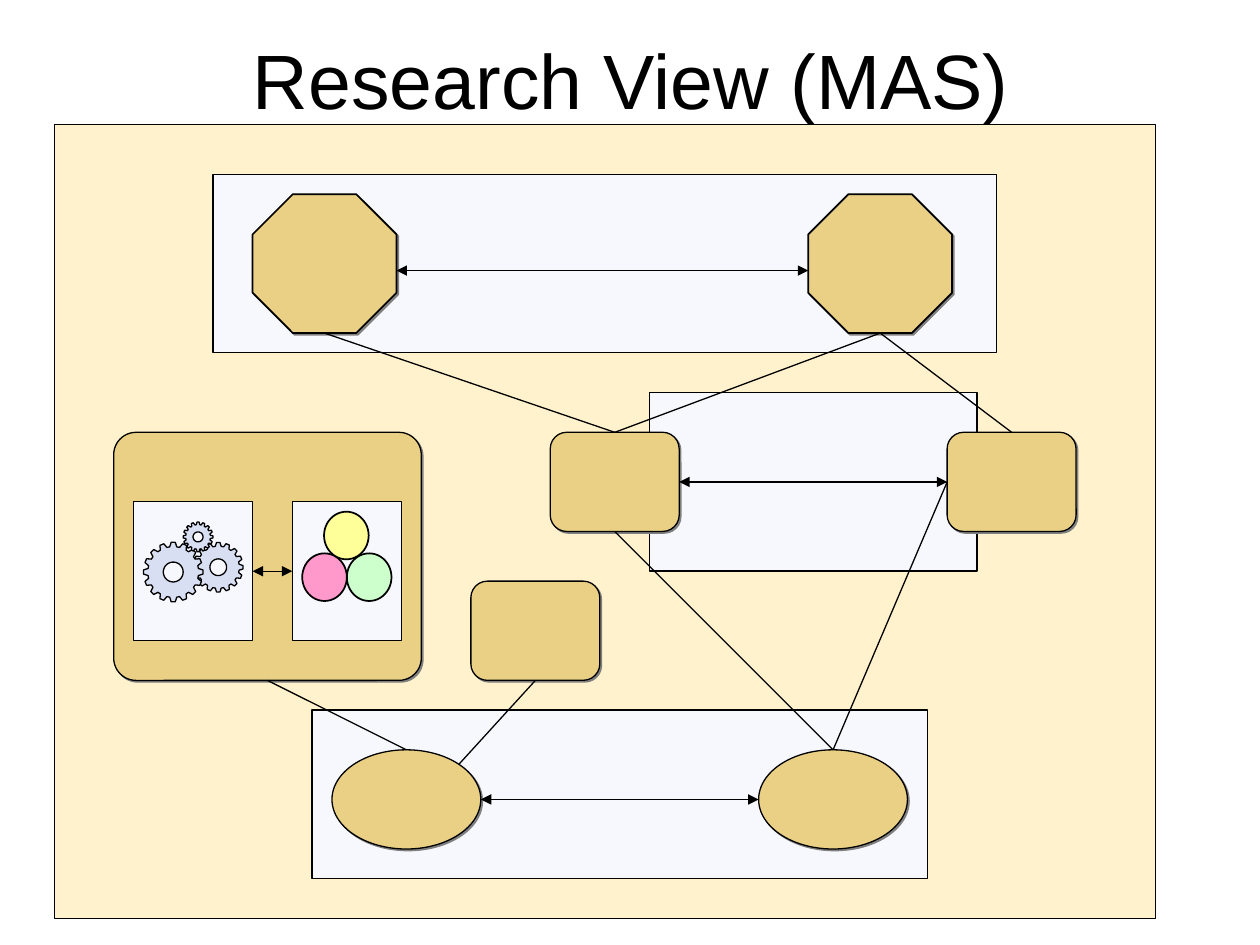
from math import cos, sin, pi, radians
from pptx import Presentation
from pptx.dml.color import RGBColor
from pptx.enum.shapes import MSO_CONNECTOR, MSO_SHAPE
from pptx.enum.text import MSO_ANCHOR, PP_ALIGN
from pptx.oxml.ns import qn
from pptx.util import Inches, Pt
from lxml import etree

RECT, ROUND = MSO_SHAPE.RECTANGLE, MSO_SHAPE.ROUNDED_RECTANGLE
OVAL, OCTA = MSO_SHAPE.OVAL, MSO_SHAPE.OCTAGON
STRAIGHT = MSO_CONNECTOR.STRAIGHT
MIDDLE, CENTER = MSO_ANCHOR.MIDDLE, PP_ALIGN.CENTER
INK, CREAM, PALE, GOLD, STEEL = "000000", "FFF2CC", "F7F8FD", "EAD085", "D8DFF2"
UNIT = 6.3 / 40
LEFT, TOP = 0.43, 0.99
TEETH = 16
SITES = [(0.5, 0), (0, 0.5), (0.5, 1), (1, 0.5), (0.85, 0.15)]
ABOVE, WEST, BELOW, EAST, CORNER = range(5)
TITLE = {"size": Pt(44), "name": "Arial", "bold": False}


def color(code):
    return RGBColor.from_string(code)


def spot(col, row):
    return Inches(LEFT + col * UNIT), Inches(TOP + row * UNIT)


def paint(shape, fill, width=0.75, shade=False):
    shape.fill.solid()
    shape.fill.fore_color.rgb = color(fill)
    shape.line.color.rgb = color(INK)
    shape.line.width = Pt(width)
    shape.shadow.inherit = False
    if shade:
        effects = shape._element.spPr.find(qn("a:effectLst"))
        shadow = etree.SubElement(effects, qn("a:outerShdw"), dist="17780", dir="2700000")
        etree.SubElement(shadow, qn("a:srgbClr"), val="808080")


def place(slide, kind, box, fill, width=0.75, shade=False, bend=None):
    col, row, wide, high = box
    size = Inches(wide * UNIT), Inches(high * UNIT)
    shape = slide.shapes.add_shape(kind, *spot(col, row), *size)
    if bend is not None:
        shape.adjustments[0] = bend
    paint(shape, fill, width, shade)
    return shape


def site(shape, side):
    across, down = SITES[side]
    return int(shape.left + across * shape.width), int(shape.top + down * shape.height)


def link(slide, start, end, heads=False, drop=0):
    (x, y), (u, v) = site(*start), site(*end)
    shift = Inches(drop * UNIT)
    line = slide.shapes.add_connector(STRAIGHT, x, y + shift, u, v + shift)
    for (shape, side), join in ((start, line.begin_connect), (end, line.end_connect)):
        if shape.auto_shape_type in (RECT, ROUND):
            join(shape, side)
    line.line.color.rgb = color(INK)
    line.line.width = Pt(0.75)
    if heads:
        for tag in ("a:headEnd", "a:tailEnd"):
            etree.SubElement(line.line._get_or_add_ln(), qn(tag), type="triangle")
    etree.SubElement(line._element.spPr, qn("a:effectLst"))


def team(slide, box, kind, spots, size, drop=0, **style):
    col, row, _, _ = box
    place(slide, RECT, box, PALE)
    pair = [place(slide, kind, (col + x, row + y, *size), GOLD, shade=True, **style)
            for x, y in spots]
    link(slide, (pair[0], EAST), (pair[1], WEST), True, drop)
    return pair


def ring(mid, radius, angles):
    return [spot(mid[0] + radius * sin(a), mid[1] - radius * cos(a)) for a in angles]


def gear(slide, mid, outer, inner, hole):
    rim = []
    for tooth in range(TEETH):
        turn = 2 * pi * tooth / TEETH
        for reach, shift in ((inner, -8), (outer, -4), (outer, 4), (inner, 8)):
            rim += ring(mid, reach, [turn + radians(shift)])
    bore = ring(mid, hole, [-2 * pi * n / 40 for n in range(40)])
    pen = slide.shapes.build_freeform(*rim[0])
    pen.add_line_segments(rim[1:], close=True)
    pen.move_to(*bore[0])
    pen.add_line_segments(bore[1:], close=True)
    paint(pen.convert_to_shape(), STEEL)


def agent(slide, box):
    col, row, _, _ = box
    card = place(slide, ROUND, box, GOLD, shade=True, bend=0.09)
    model = place(slide, RECT, (col + 9, row + 3.5, 5.5, 7), PALE)
    for x, y, fill in ((11.75, 6.1, "CCFFCC"), (9.5, 6.1, "FF99CC"), (10.6, 4, "FFFF99")):
        place(slide, OVAL, (col + x, row + y, 2.25, 2.4), fill, 1)
    engine = place(slide, RECT, (col + 1, row + 3.5, 6, 7), PALE)
    for x, y, *radii in ((5.27, 6.8, 1.25, 1.06, 0.42), (3, 7.04, 1.5, 1.28, 0.5),
                         (4.25, 5.27, 0.75, 0.62, 0.25)):
        gear(slide, (col + x, row + y), *radii)
    link(slide, (engine, EAST), (model, WEST), True)
    return card


def head(slide, box, text):
    title = slide.shapes.title
    title.left, title.top, title.width, title.height = map(Inches, box)
    frame = title.text_frame
    frame.text = text
    frame.vertical_anchor = MIDDLE
    para = frame.paragraphs[0]
    para.alignment = CENTER
    font = para.runs[0].font
    for key, value in TITLE.items():
        setattr(font, key, value)
    font.color.rgb = color(INK)


def scene(slide):
    place(slide, RECT, (0, 0, 55.5, 40), CREAM)
    lower = team(slide, (13, 29.5, 31, 8.5), OVAL, [(1, 2), (22.5, 2)], (7.5, 5))
    mid = team(slide, (30, 13.5, 16.5, 9), ROUND, [(-5, 2), (15, 2)], (6.5, 5))
    upper = team(slide, (8, 2.5, 39.5, 9), OCTA, [(2, 1), (30, 1)], (7.25, 7),
                 drop=0.35, width=1, bend=0.29)
    card = agent(slide, (3, 15.5, 15.5, 12.5))
    lone = place(slide, ROUND, (21, 23, 6.5, 5), GOLD, shade=True)
    for start, end in (
        ((card, BELOW), (lower[0], ABOVE)),
        ((lone, BELOW), (lower[0], CORNER)),
        ((mid[0], BELOW), (lower[1], ABOVE)),
        ((mid[1], WEST), (lower[1], ABOVE)),
        ((mid[0], ABOVE), (upper[0], BELOW)),
        ((mid[0], ABOVE), (upper[1], BELOW)),
        ((mid[1], ABOVE), (upper[1], BELOW)),
    ):
        link(slide, start, end)


def main():
    deck = Presentation()
    deck.slide_width, deck.slide_height = Inches(10), Inches(7.5)
    slide = deck.slides.add_slide(deck.slide_layouts[5])
    head(slide, (0.51, 0, 9, 1.25), "Research View (MAS)")
    scene(slide)
    deck.save("out.pptx")


if __name__ == "__main__":
    main()
